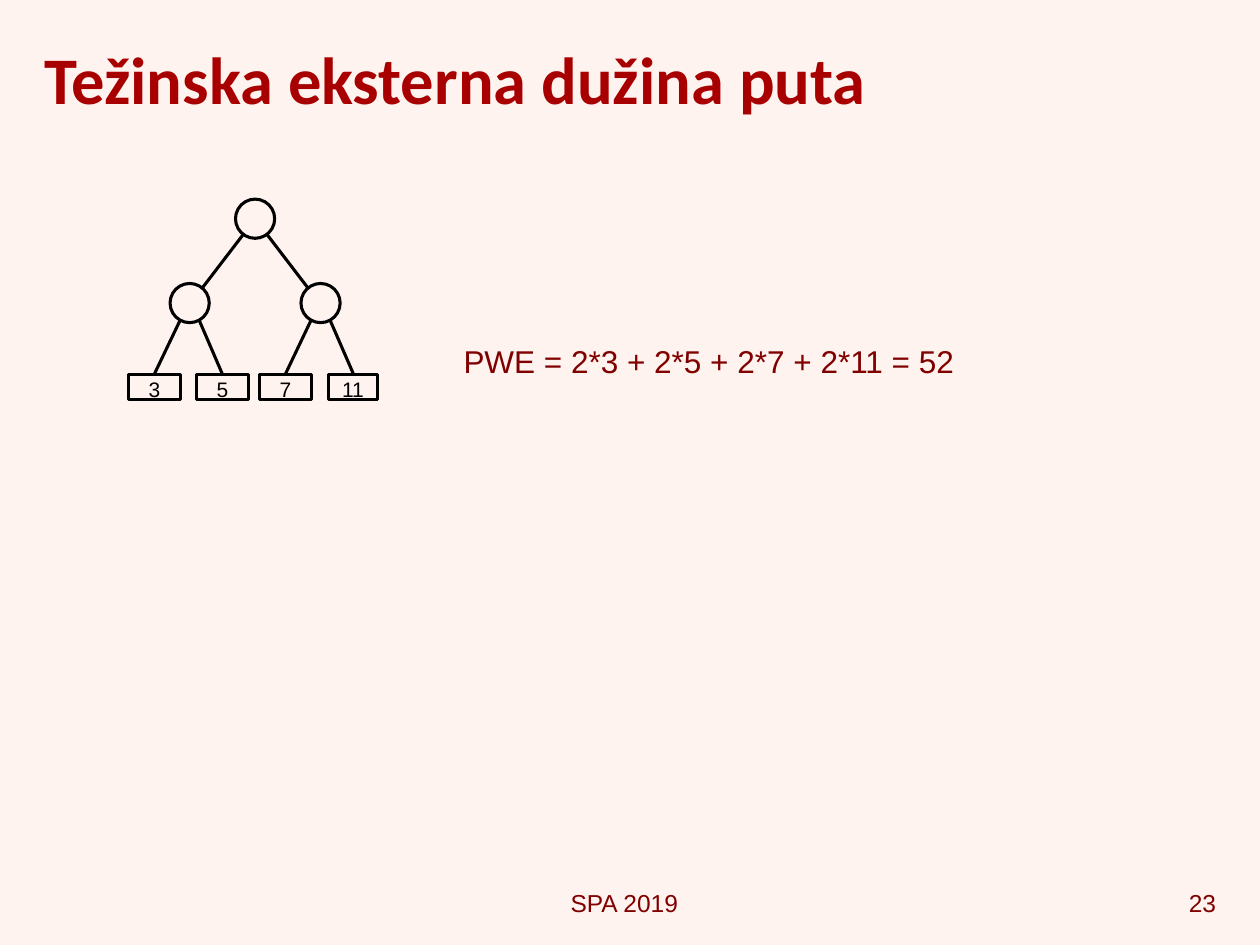
from dataclasses import dataclass

import pptx
import pptx.dml.color
import pptx.enum.shapes
import pptx.enum.text
import pptx.oxml
import pptx.oxml.ns
import pptx.util

Pt = pptx.util.Pt
ALIGN = pptx.enum.text.PP_ALIGN
SHAPE = pptx.enum.shapes.MSO_SHAPE

COLORS = {"background": "FFF3EF", "title": "A80000", "text": "800000", "tree": "000000"}
LINE_WIDTH = 1.75
NODE_SIZE = 22.4
LEAF_TOP, LEAF_HEIGHT = 213.8, 14.4
LABEL_DROP, DIGIT_WIDTH = 1.5, 6.5


@dataclass
class Node:
    """Inner node, given by its centre."""
    x: float
    y: float


@dataclass
class Leaf:
    weight: str
    x: float
    width: float = 29.5


@dataclass
class Caption:
    text: str
    left: float
    top: float
    width: float
    height: float
    size: float
    align: ALIGN = ALIGN.LEFT
    color: str = "text"
    inset: bool = True
    wrap: bool = False


ROOT = Node(145.8, 125)
CHILDREN = [Node(108.4, 173.2), Node(183.2, 173.2)]
LEAVES = [Leaf("3", 88.2), Leaf("5", 127.1), Leaf("7", 163.1), Leaf("11", 202, 28)]
CAPTIONS = [
    Caption("SPA 2019", 269.3, 504, 175, 23.8, 14, ALIGN.CENTER, wrap=True),
    Caption("23", 558, 504, 144, 23.8, 14, ALIGN.RIGHT, wrap=True),
    Caption("PWE = 2*3 + 2*5 + 2*7 + 2*11 = 52", 257.8, 192.2, 434.9, 31, 18),
]


def rgb(role: str) -> pptx.dml.color.RGBColor:
    return pptx.dml.color.RGBColor.from_string(COLORS[role])


def style_font(font, name: str, size: float, role: str) -> None:
    font.name = name
    font.size = Pt(size)
    font.color.rgb = rgb(role)


def style_line(line) -> None:
    line.color.rgb = rgb("tree")
    line.width = Pt(LINE_WIDTH)


def draw_outline(slide, kind: SHAPE, x: float, top: float, width: float, height: float) -> None:
    """Draw an unfilled shape centred horizontally on x."""
    outline = slide.shapes.add_shape(kind, Pt(x - width / 2), Pt(top), Pt(width), Pt(height))
    outline.shadow.inherit = False
    outline.fill.background()
    style_line(outline.line)


def draw_edge(slide, x1: float, y1: float, x2: float, y2: float) -> None:
    edge = slide.shapes.add_connector(
        pptx.enum.shapes.MSO_CONNECTOR.STRAIGHT, Pt(x1), Pt(y1), Pt(x2), Pt(y2))
    style_line(edge.line)
    properties = edge.element.find(pptx.oxml.ns.qn("p:spPr"))
    properties.append(pptx.oxml.parse_xml(f"<a:effectLst {pptx.oxml.ns.nsdecls('a')}/>"))


def draw_caption(slide, caption: Caption) -> None:
    box = slide.shapes.add_textbox(
        Pt(caption.left), Pt(caption.top), Pt(caption.width), Pt(caption.height))
    frame = box.text_frame
    frame.word_wrap = caption.wrap
    if not caption.inset:
        frame.margin_left = frame.margin_right = frame.margin_top = frame.margin_bottom = 0
    frame.text = caption.text
    paragraph = frame.paragraphs[0]
    paragraph.alignment = caption.align
    style_font(paragraph.runs[0].font, "Arial", caption.size, caption.color)


def draw_tree(slide) -> None:
    for side, child in zip((-1, 1), CHILDREN):
        draw_edge(slide, ROOT.x + side * 6.8, ROOT.y + 9, child.x - side * 7.5, child.y - 9)
    for index, leaf in enumerate(LEAVES):
        parent = CHILDREN[index // 2]
        side = 1 if index % 2 else -1
        draw_edge(slide, parent.x + side * 5.4, parent.y + 9.7, leaf.x, LEAF_TOP)
    for node in [ROOT, *CHILDREN]:
        draw_outline(slide, SHAPE.OVAL, node.x, node.y - NODE_SIZE / 2, NODE_SIZE, NODE_SIZE)
    for leaf in LEAVES:
        draw_outline(slide, SHAPE.RECTANGLE, leaf.x, LEAF_TOP, leaf.width, LEAF_HEIGHT)
        width = DIGIT_WIDTH * len(leaf.weight)
        draw_caption(slide, Caption(
            leaf.weight, leaf.x - width / 2, LEAF_TOP + LABEL_DROP, width, LEAF_HEIGHT,
            12, color="tree", inset=False))


def write_title(slide, text: str) -> None:
    title = slide.shapes.title
    title.left, title.top, title.width, title.height = Pt(18), Pt(5.8), Pt(684), Pt(77.8)
    title.text_frame.text = text
    title.text_frame.vertical_anchor = pptx.enum.text.MSO_ANCHOR.MIDDLE
    paragraph = title.text_frame.paragraphs[0]
    paragraph.alignment = ALIGN.LEFT
    font = paragraph.runs[0].font
    style_font(font, "Calibri", 38, "title")
    font.bold = True


def main() -> None:
    deck = pptx.Presentation()
    deck.slide_width, deck.slide_height = Pt(720), Pt(540)
    slide = deck.slides.add_slide(deck.slide_layouts.get_by_name("Title Only"))
    slide.background.fill.solid()
    slide.background.fill.fore_color.rgb = rgb("background")
    write_title(slide, "Težinska eksterna dužina puta")
    draw_tree(slide)
    for caption in CAPTIONS:
        draw_caption(slide, caption)
    deck.save("out.pptx")


if __name__ == "__main__":
    main()
